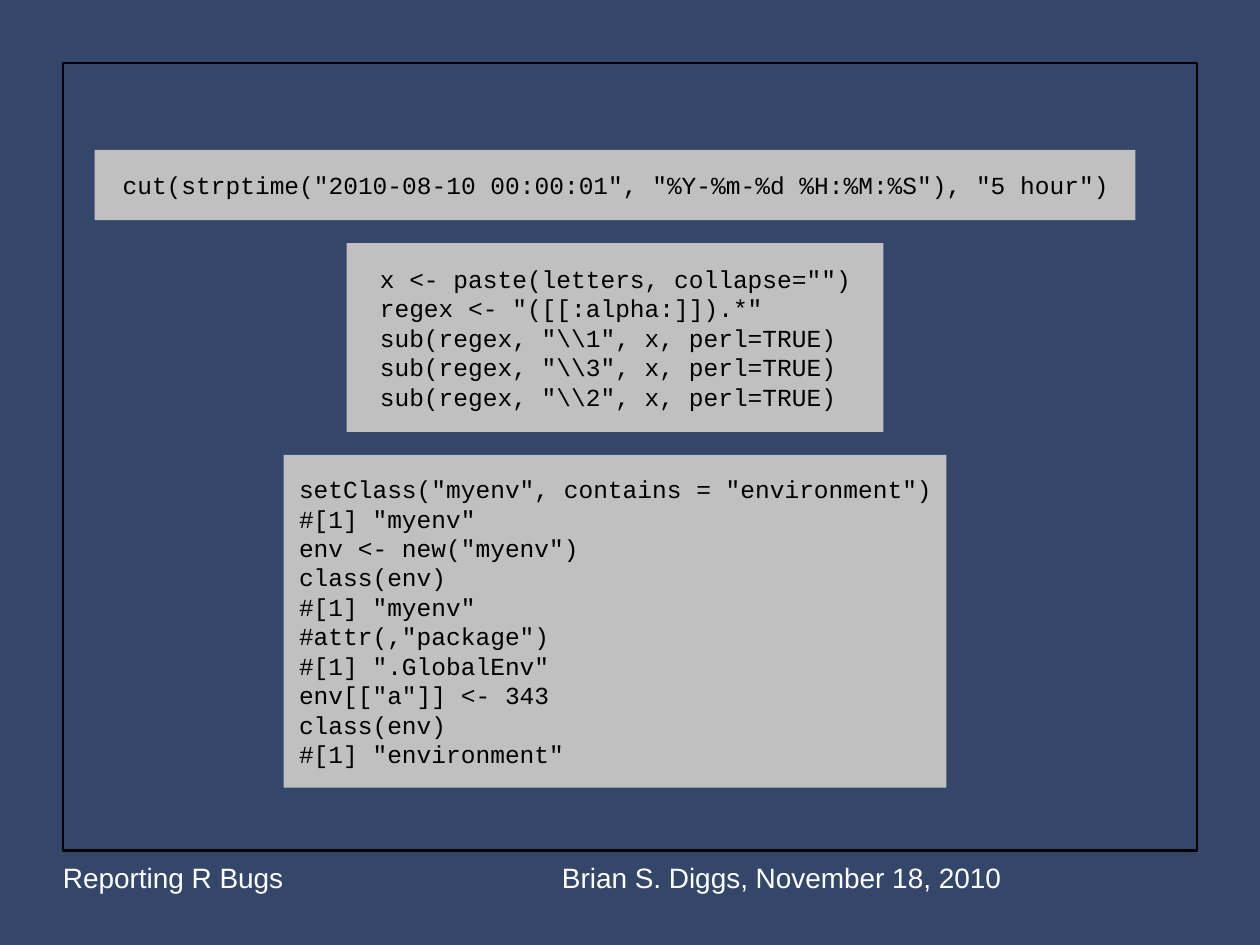
from lxml.etree import SubElement
from pptx import Presentation
from pptx.dml.color import RGBColor
from pptx.enum.shapes import MSO_SHAPE
from pptx.enum.text import MSO_ANCHOR, PP_ALIGN
from pptx.oxml.ns import qn
from pptx.util import Cm, Pt

NAVY = RGBColor(0x34, 0x47, 0x6A)
SILVER = RGBColor(0xC0, 0xC0, 0xC0)
BLACK = RGBColor(0, 0, 0)
WHITE = RGBColor(0xFF, 0xFF, 0xFF)

CODE_CENTER = 12.4
CODE_TOP = 3.02
CODE_GAP = 0.46

# Each example: width and height in cm, then its lines
EXAMPLES = [
    (20.98, 1.42, [
        'cut(strptime("2010-08-10 00:00:01", "%Y-%m-%d %H:%M:%S"), "5 hour")',
    ]),
    (10.82, 3.81, [
        'x <- paste(letters, collapse="")',
        'regex <- "([[:alpha:]]).*"',
        r'sub(regex, "\\1", x, perl=TRUE)',
        r'sub(regex, "\\3", x, perl=TRUE)',
        r'sub(regex, "\\2", x, perl=TRUE)',
    ]),
    (13.36, 6.71, [
        'setClass("myenv", contains = "environment")',
        '#[1] "myenv"',
        'env <- new("myenv")',
        'class(env)',
        '#[1] "myenv"',
        '#attr(,"package")',
        '#[1] ".GlobalEnv"',
        'env[["a"]] <- 343',
        'class(env)',
        '#[1] "environment"',
    ]),
]


class SlideBuilder:
    code_font, code_size = "Courier New", Pt(14)
    footer_font, footer_size = "Arial", Pt(16)
    char_width = 0.6  # of the code size

    def __init__(self, slide):
        self.slide = slide
        slide.background.fill.solid()
        slide.background.fill.fore_color.rgb = NAVY

    def rectangle(self, left, top, width, height):
        rect = self.slide.shapes.add_shape(
            MSO_SHAPE.RECTANGLE, Cm(left), Cm(top), Cm(width), Cm(height))
        rect.shadow.inherit = False
        return rect

    def frame(self, left, top, width, height):
        border = self.rectangle(left, top, width, height)
        border.fill.background()
        border.line.color.rgb = BLACK
        border.line.width = Pt(1.5)

    def add_run(self, paragraph, text, font, size, color):
        run = paragraph.add_run()
        run.text = text
        run.font.name, run.font.size = font, size
        run.font.color.rgb = color

    def code(self, left, top, width, height, lines):
        """Panel with left-aligned lines, centred as one block."""
        panel = self.rectangle(left, top, width, height)
        panel.fill.solid()
        panel.fill.fore_color.rgb = SILVER
        panel.line.fill.background()
        frame = panel.text_frame
        frame.word_wrap = True
        frame.vertical_anchor = MSO_ANCHOR.MIDDLE
        block_width = max(map(len, lines)) * self.char_width * self.code_size
        frame.margin_left = int((Cm(width) - block_width) / 2)
        frame.margin_right = 0
        for number, line in enumerate(lines):
            paragraph = frame.add_paragraph() if number else frame.paragraphs[0]
            paragraph.alignment = PP_ALIGN.LEFT
            self.add_run(paragraph, line, self.code_font, self.code_size, BLACK)

    def footer(self, left, top, width, height, title, credit, tab):
        """One line of text, with the credit at a tab stop."""
        box = self.slide.shapes.add_textbox(Cm(left), Cm(top), Cm(width), Cm(height))
        frame = box.text_frame
        frame.word_wrap = True
        frame.margin_left = frame.margin_right = 0
        frame.margin_top = frame.margin_bottom = 0
        paragraph = frame.paragraphs[0]
        tabs = SubElement(paragraph._p.get_or_add_pPr(), qn("a:tabLst"))
        SubElement(tabs, qn("a:tab"), pos=str(Cm(tab)), algn="l")
        for text in (title, "\t" + credit):
            self.add_run(paragraph, text, self.footer_font, self.footer_size, WHITE)


def main():
    deck = Presentation()
    deck.slide_width, deck.slide_height = Cm(25.4), Cm(19.05)
    builder = SlideBuilder(deck.slides.add_slide(deck.slide_layouts[6]))

    builder.frame(1.27, 1.27, 22.86, 15.88)
    top = CODE_TOP
    for width, height, lines in EXAMPLES:
        builder.code(CODE_CENTER - width / 2, top, width, height, lines)
        top += height + CODE_GAP
    builder.footer(1.27, 17.35, 19.05, 1.32, "Reporting R Bugs",
                   "Brian S. Diggs, November 18, 2010", tab=10.06)

    deck.save("out.pptx")


if __name__ == "__main__":
    main()
